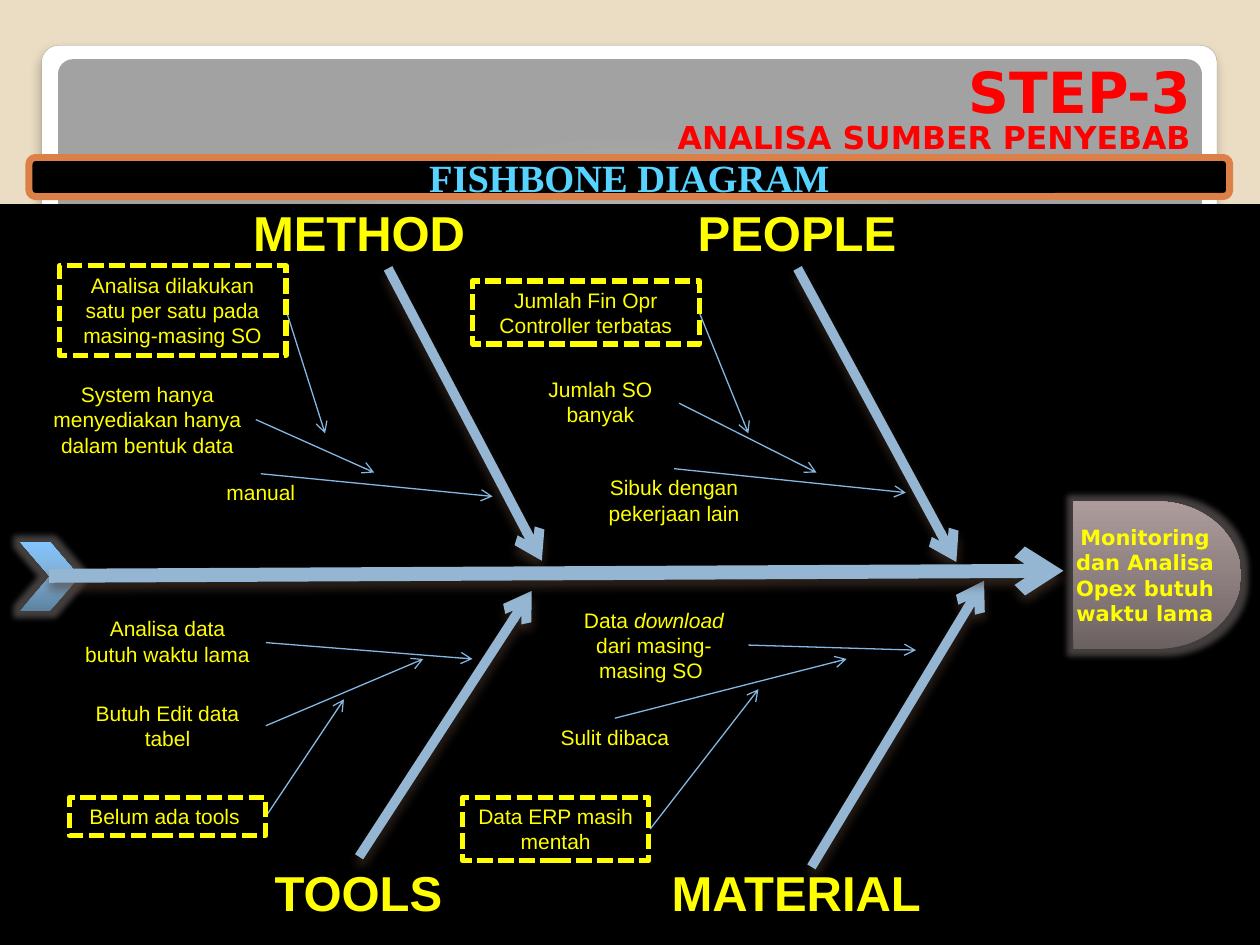
from lxml import etree
from pptx import Presentation
from pptx.dml.color import RGBColor
from pptx.enum.dml import MSO_LINE
from pptx.enum.shapes import MSO_CONNECTOR, MSO_SHAPE
from pptx.enum.text import MSO_ANCHOR, MSO_AUTO_SIZE, PP_ALIGN
from pptx.oxml import parse_xml
from pptx.oxml.ns import qn
from pptx.util import Inches, Pt

STRAIGHT = MSO_CONNECTOR.STRAIGHT
RECT, ROUNDED = MSO_SHAPE.RECTANGLE, MSO_SHAPE.ROUNDED_RECTANGLE
CHEVRON, DELAY = MSO_SHAPE.CHEVRON, MSO_SHAPE.FLOWCHART_DELAY
DASH = MSO_LINE.SQUARE_DOT
CENTER, RIGHT = PP_ALIGN.CENTER, PP_ALIGN.RIGHT
TOP, MIDDLE = MSO_ANCHOR.TOP, MSO_ANCHOR.MIDDLE
FIXED = MSO_AUTO_SIZE.NONE

CELL = Inches(0.1)
NAMESPACE = 'xmlns:a="http://schemas.openxmlformats.org/drawingml/2006/main"'
COLORS = {
    "sand": "EBDDC3", "black": "000000", "orange": "DD8047", "sky": "57D3FF",
    "red": "FF0000", "yellow": "FFFF00", "bone": "94B6D2", "twig": "84B8E2",
    "edge": "A4A4A4", "brown": "4E3B30", "glow": "8A8080",
}
FRAME_STOPS = [(0, "FFFFFF"), (98, "FFFFFF"), (99, "F7F7F7"), (100, "DADADA")]
PANEL_STOPS = [(0, "FFFFFF"), (55, "E1E1E1"), (100, "A2A2A2")]
TAIL_STOPS = [(0, "5D82A0"), (60, "82B3DD"), (100, "82C4FE")]
HEAD_STOPS = [(0, "6C6161"), (60, "958686"), (100, "AE9C9C")]
PANEL_FOCUS = ('<a:path path="circle"><a:fillToRect l="50000" t="175000" '
               'r="50000" b="-75000"/></a:path>')

CATEGORIES = [
    ("METHOD", (19, 15.6, 19, 5.7), (30.8, 21.3, 43, 44.5)),
    ("PEOPLE", (54.3, 15.6, 17.9, 5.7), (63.3, 21.3, 75.9, 44.6)),
    ("TOOLS", (20.7, 68, 15.5, 5.7), (28.5, 68, 42.2, 46.9)),
    ("MATERIAL", (52.2, 68, 22, 5.7), (64.4, 68.8, 78.1, 46.1)),
]
CAUSES = [
    ("System hanya menyediakan hanya dalam bentuk data",
     (3.1, 29.8, 17.2, 7.1), (20.3, 33.3, 29.7, 37.5)),
    ("manual", (13.3, 37.6, 14.8, 3), (20.7, 37.6, 39.1, 39.4)),
    ("Jumlah SO banyak", (41.4, 29.4, 12.5, 5), (53.9, 32, 64.8, 37.5)),
    ("Sibuk dengan pekerjaan lain",
     (46.1, 37.2, 14.8, 5), (53.5, 37.2, 71.9, 39.1)),
    ("Analisa data butuh waktu lama",
     (5.5, 48.4, 15.6, 5), (21.1, 51, 37.5, 52.3)),
    ("Butuh Edit data tabel", (5.5, 55.1, 15.6, 5), (21.1, 57.6, 33.6, 52.3)),
    ("Data *download* dari masing-masing SO ",
     (44.5, 47.7, 14.8, 7.1), (59.4, 51.2, 72.7, 51.6)),
    ("Sulit dibaca", (41.4, 57, 14.8, 3), (48.8, 57, 67.2, 52.3)),
]
ROOT_CAUSES = [
    ("Analisa dilakukan satu per satu pada masing-masing SO",
     (4.7, 21.1, 18, 7.1), (22.7, 24.6, 25.8, 34.4)),
    ("Jumlah Fin Opr Controller terbatas",
     (37.5, 22.3, 18, 5), (55.5, 24.8, 59.4, 34.4)),
    ("Belum ada tools ", (5.5, 63.3, 15.6, 3), (21.1, 64.8, 27.3, 55.5)),
    ("Data ERP masih mentah",
     (36.7, 63.3, 14.8, 5), (51.6, 65.8, 60.2, 54.7)),
]


def color(name):
    return RGBColor.from_string(COLORS[name])


def cells(values):
    return [round(value * CELL) for value in values]


def add_effect(item, effect):
    effects = parse_xml(f'<a:effectLst {NAMESPACE}>{effect}</a:effectLst>')
    properties = item.element.spPr
    for old in properties.findall(qn("a:effectLst")):
        properties.remove(old)
    properties.append(effects)


def shadow(name, alpha):
    return (f'<a:outerShdw blurRad="{Pt(6)}" dist="{Pt(4)}" dir="5400000" '
            f'rotWithShape="0"><a:srgbClr val="{COLORS[name]}">'
            f'<a:alpha val="{alpha * 1000}"/></a:srgbClr></a:outerShdw>')


def glow():
    return (f'<a:glow rad="{Pt(7)}"><a:srgbClr val="{COLORS["glow"]}">'
            '<a:alpha val="50000"/></a:srgbClr></a:glow>')


def paint_gradient(shape, stops, direction):
    marks = "".join(f'<a:gs pos="{share * 1000}"><a:srgbClr val="{value}"/></a:gs>'
                    for share, value in stops)
    gradient = parse_xml(f'<a:gradFill {NAMESPACE} rotWithShape="1">'
                         f'<a:gsLst>{marks}</a:gsLst>{direction}</a:gradFill>')
    shape.element.spPr.find(qn("a:prstGeom")).addnext(gradient)


def linear(angle):
    return f'<a:lin ang="{angle * 60000}" scaled="0"/>'


def set_font(span, font, size, ink, bold=False):
    span.font.name = font
    span.font.size = Pt(size)
    span.font.bold = bold
    span.font.color.rgb = color(ink)


def write(box, text, font, size, ink, bold=False, anchor=TOP, wrap=True):
    frame = box.text_frame
    frame.word_wrap = wrap
    frame.vertical_anchor = anchor
    para = frame.paragraphs[0]
    para.alignment = CENTER
    for index, part in enumerate(text.split("*")):
        span = para.add_run()
        span.text = part
        set_font(span, font, size, ink, bold)
        span.font.italic = index % 2 == 1


def add_block(page, kind, area, fill=None, line=None, width=1):
    shape = page.shapes.add_shape(kind, *cells(area))
    shape.shadow.inherit = False
    if fill:
        shape.fill.solid()
        shape.fill.fore_color.rgb = color(fill)
    if line:
        shape.line.color.rgb = color(line)
        shape.line.width = Pt(width)
    else:
        shape.line.fill.background()
    return shape


def add_arrow(page, ends, ink, width, effect=""):
    arrow = page.shapes.add_connector(STRAIGHT, *cells(ends))
    arrow.line.color.rgb = color(ink)
    arrow.line.width = Pt(width)
    etree.SubElement(arrow.line._get_or_add_ln(), qn("a:tailEnd"), type="arrow")
    add_effect(arrow, effect)


def add_backdrop(page):
    page.background.fill.solid()
    page.background.fill.fore_color.rgb = color("sand")
    frame = add_block(page, ROUNDED, (3.3, 3.6, 93.3, 67.8), None, "edge", 0.16)
    paint_gradient(frame, FRAME_STOPS, linear(90))
    add_effect(frame, shadow("black", 25))
    panel = add_block(page, ROUNDED, (4.6, 4.7, 90.8, 60))
    paint_gradient(panel, PANEL_STOPS, PANEL_FOCUS)
    for shape in (frame, panel):
        shape.adjustments[0] = 0.02
    add_block(page, RECT, (0, 16.4, 100, 59.4), "black", "black", 3.35)
    banner = add_block(page, ROUNDED, (2.3, 12.5, 95.3, 3.1), "black", "orange", 4)
    write(banner, "FISHBONE DIAGRAM", "Times New Roman", 22, "sky", True, MIDDLE)


def add_title(page):
    title = page.shapes.title
    title.left, title.top, title.width, title.height = cells((4.5, 5.5, 90, 7))
    frame = title.text_frame
    frame.text = "STEP-3\nANALISA SUMBER PENYEBAB"
    frame.auto_size = FIXED
    frame.vertical_anchor = TOP
    frame.margin_left = frame.margin_right = frame.margin_top = frame.margin_bottom = 0
    for para, size in zip(frame.paragraphs, (32.4, 18)):
        para.alignment = RIGHT
        para.line_spacing = 0.82
        para.space_before = Pt(0)
        set_font(para.runs[0], "DejaVu Sans", size, "red", True)
    title.element.getparent().append(title.element)


def add_spine(page):
    tail = add_block(page, CHEVRON, (1.6, 43, 4.7, 5.5))
    head = add_block(page, DELAY, (85.2, 39.8, 13.3, 11.7))
    for shape, stops in ((tail, TAIL_STOPS), (head, HEAD_STOPS)):
        paint_gradient(shape, stops, linear(270))
        add_effect(shape, glow())
    frame = head.text_frame
    frame.margin_left = frame.margin_right = frame.margin_top = frame.margin_bottom = 0
    write(head, "Monitoring dan Analisa Opex butuh waktu lama",
          "DejaVu Sans", 12, "yellow", True, MIDDLE)
    add_arrow(page, (3.9, 45.7, 84.4, 45.3), "bone", 8, shadow("brown", 60))


def add_category(page, name, area, bone):
    add_arrow(page, bone, "bone", 5.5, shadow("brown", 60))
    box = page.shapes.add_textbox(*cells(area))
    write(box, name, "Arial", 28, "yellow", True, wrap=False)


def add_cause(page, text, area, twig, root=False):
    add_arrow(page, twig, "twig", 0.75)
    if root:
        box = add_block(page, RECT, area, None, "yellow", 3)
        box.fill.background()
        box.line.dash_style = DASH
    else:
        box = page.shapes.add_textbox(*cells(area))
    write(box, text, "Arial", 12, "yellow")


def main():
    deck = Presentation()
    deck.slide_width, deck.slide_height = cells((100, 75))
    page = deck.slides.add_slide(deck.slide_layouts[5])
    add_backdrop(page)
    add_title(page)
    for category in CATEGORIES:
        add_category(page, *category)
    add_spine(page)
    for cause in CAUSES:
        add_cause(page, *cause)
    for cause in ROOT_CAUSES:
        add_cause(page, *cause, root=True)
    deck.save("out.pptx")


if __name__ == "__main__":
    main()
